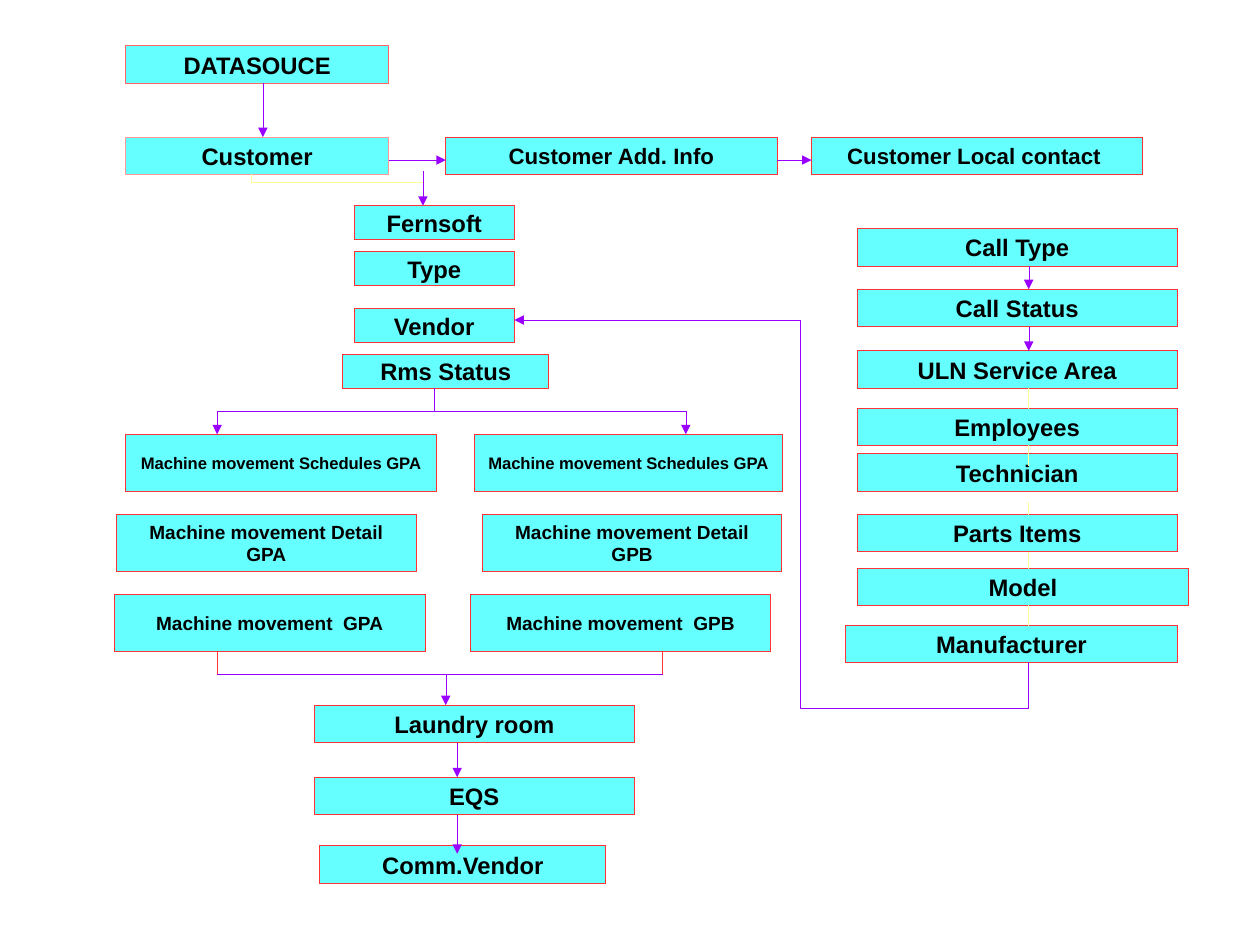
"""Build the data source flow diagram slide."""
from lxml import etree
from pptx import Presentation
from pptx.dml.color import RGBColor
from pptx.enum import shapes, text
from pptx.oxml import ns
from pptx.util import Inches, Pt

RED, PURPLE, YELLOW = "FF3333", "9900FF", "FFFF99"
HAIRLINE = Pt(0.01)
CM_PER_INCH = 2.54

CUSTOMER_ROW = [
    ("Customer Add. Info", 3.9),
    ("Customer Local contact ", 7.1),
]
STATUS_BOXES = [
    ("Fernsoft", 3.1, 1.8, 1.4),
    ("Type", 3.1, 2.2, 1.4),
    ("Vendor", 3.1, 2.7, 1.4),
    ("Rms Status", 3, 3.1, 1.8),
]
MACHINE_BOXES = [
    ("Machine movement Schedules GPA", 1.1, 3.8, 2.72, 10.5),
    ("Machine movement Schedules GPA", 4.15, 3.8, 2.7, 10.5),
    ("Machine movement Detail GPA", 1.02, 4.5, 2.62, 12),
    ("Machine movement Detail GPB", 4.22, 4.5, 2.62, 12),
    ("Machine movement  GPA", 1, 5.2, 2.72, 12),
    ("Machine movement  GPB", 4.12, 5.2, 2.62, 12),
]
MAIN_BOXES = [
    ("Laundry room", 2.75, 6.17, 2.8),
    ("EQS", 2.75, 6.8, 2.8),
    ("Comm.Vendor", 2.8, 7.4, 2.5),
    ("Call Type", 7.5, 2, 2.8),
    ("Call Status", 7.5, 2.53, 2.8),
    ("ULN Service Area", 7.5, 3.07, 2.8),
    ("Employees", 7.5, 3.57, 2.8),
    ("Technician", 7.5, 3.97, 2.8),
    ("Parts Items", 7.5, 4.5, 2.8),
    ("Model", 7.5, 4.97, 2.9),
    ("Manufacturer", 7.4, 5.47, 2.9),
]
ARROWS = [
    (2.3, 0.73, 2.3, 1.2),
    (3.4, 1.4, 3.9, 1.4),
    (6.8, 1.4, 7.1, 1.4),
    (3.7, 1.5, 3.7, 1.8),
    (1.9, 3.6, 1.9, 3.8),
    (6, 3.6, 6, 3.8),
    (3.9, 5.9, 3.9, 6.17),
    (4, 6.5, 4, 6.8),
    (4, 7.13, 4, 7.47),
    (7, 2.8, 4.5, 2.8),
    (9, 2.33, 9, 2.53),
    (9, 2.86, 9, 3.07),
]
PLAIN_LINES = {
    YELLOW: [(2.2, 1.6, 3.7, 1.6), (2.2, 1.6, 2.2, 1.53)]
    + [(9, top, 9, bottom) for top, bottom in
       [(3.4, 3.57), (3.9, 4.07), (4.4, 4.5), (4.83, 4.97), (5.3, 5.47)]],
    RED: [(x, 5.9, x, 5.7) for x in (1.9, 5.8)],
    PURPLE: [
        (3.8, 3.4, 3.8, 3.6),
        (1.9, 3.6, 6, 3.6),
        (1.9, 5.9, 5.8, 5.9),
        (7, 2.8, 7, 6.2),
        (7, 6.2, 9, 6.2),
        (9, 6.2, 9, 5.8),
    ],
}


def color(hex_value):
    """Turn a hex string into a colour."""
    return RGBColor.from_string(hex_value)


def set_hairline(line, line_color):
    """Give a line its colour and the thinnest width."""
    line.color.rgb = color(line_color)
    line.width = HAIRLINE


def add_box(slide, label, left, top, width, height=0.33, size=15,
            outline=RED, margins=(0, 0)):
    """Add a labelled cyan rectangle."""
    shape = slide.shapes.add_shape(
        shapes.MSO_SHAPE.RECTANGLE,
        Inches(left), Inches(top), Inches(width), Inches(height))
    shape.shadow.inherit = False
    shape.fill.solid()
    shape.fill.fore_color.rgb = color("66FFFF")
    set_hairline(shape.line, outline)
    frame = shape.text_frame
    frame.word_wrap = True
    frame.vertical_anchor = text.MSO_ANCHOR.MIDDLE
    frame.margin_left = frame.margin_right = Inches(margins[0])
    frame.margin_top = frame.margin_bottom = Inches(margins[1])
    frame.text = label
    paragraph = frame.paragraphs[0]
    paragraph.alignment = text.PP_ALIGN.CENTER
    font = paragraph.runs[0].font
    font.name = "Arial"
    font.size = Pt(size)
    font.bold = True
    font.color.rgb = color("000000")


def add_line(slide, ends, line_color, arrow=False):
    """Add a hairline, with an arrowhead at its end if wanted."""
    connector = slide.shapes.add_connector(
        shapes.MSO_CONNECTOR.STRAIGHT, *[Inches(value) for value in ends])
    set_hairline(connector.line, line_color)
    properties = connector._element.spPr
    if arrow:
        etree.SubElement(properties.find(ns.qn("a:ln")),
                         ns.qn("a:tailEnd"), type="triangle")
    etree.SubElement(properties, ns.qn("a:effectLst"))


def main():
    """Build and save the slide."""
    presentation = Presentation()
    presentation.slide_width = Inches(28 / CM_PER_INCH)
    presentation.slide_height = Inches(21 / CM_PER_INCH)
    slide = presentation.slides.add_slide(presentation.slide_layouts[6])

    add_box(slide, "DATASOUCE", 1.1, 0.4, 2.3, outline="FF6666")
    add_box(slide, "Customer", 1.1, 1.2, 2.3, outline="FF9999")
    for label, left in CUSTOMER_ROW:
        add_box(slide, label, left, 1.2, 2.9, size=14)
    for box in STATUS_BOXES:
        add_box(slide, *box, height=0.3)
    for label, left, top, width, size in MACHINE_BOXES:
        add_box(slide, label, left, top, width, 0.5, size, margins=(0.1, 0.05))
    for box in MAIN_BOXES:
        add_box(slide, *box)

    for line_color, lines in PLAIN_LINES.items():
        for ends in lines:
            add_line(slide, ends, line_color)
    for ends in ARROWS:
        add_line(slide, ends, PURPLE, arrow=True)
    presentation.save("out.pptx")


if __name__ == "__main__":
    main()
